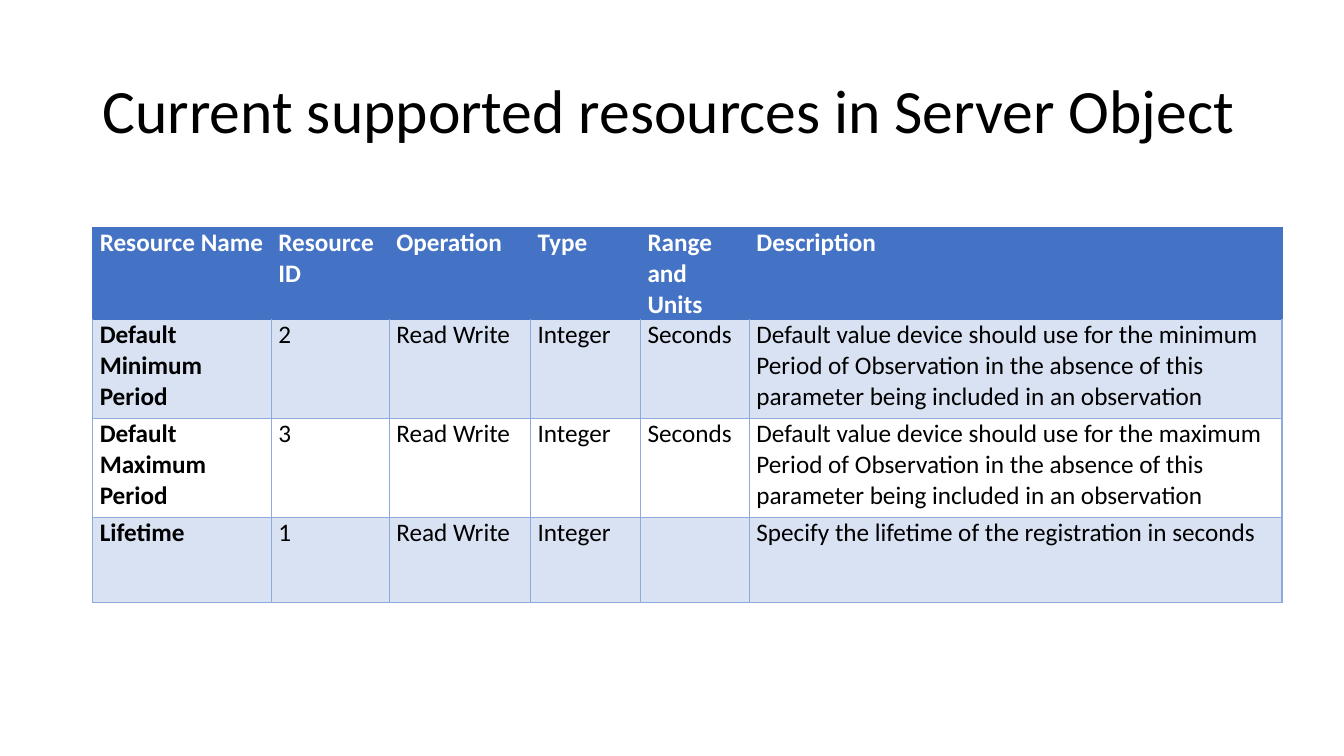
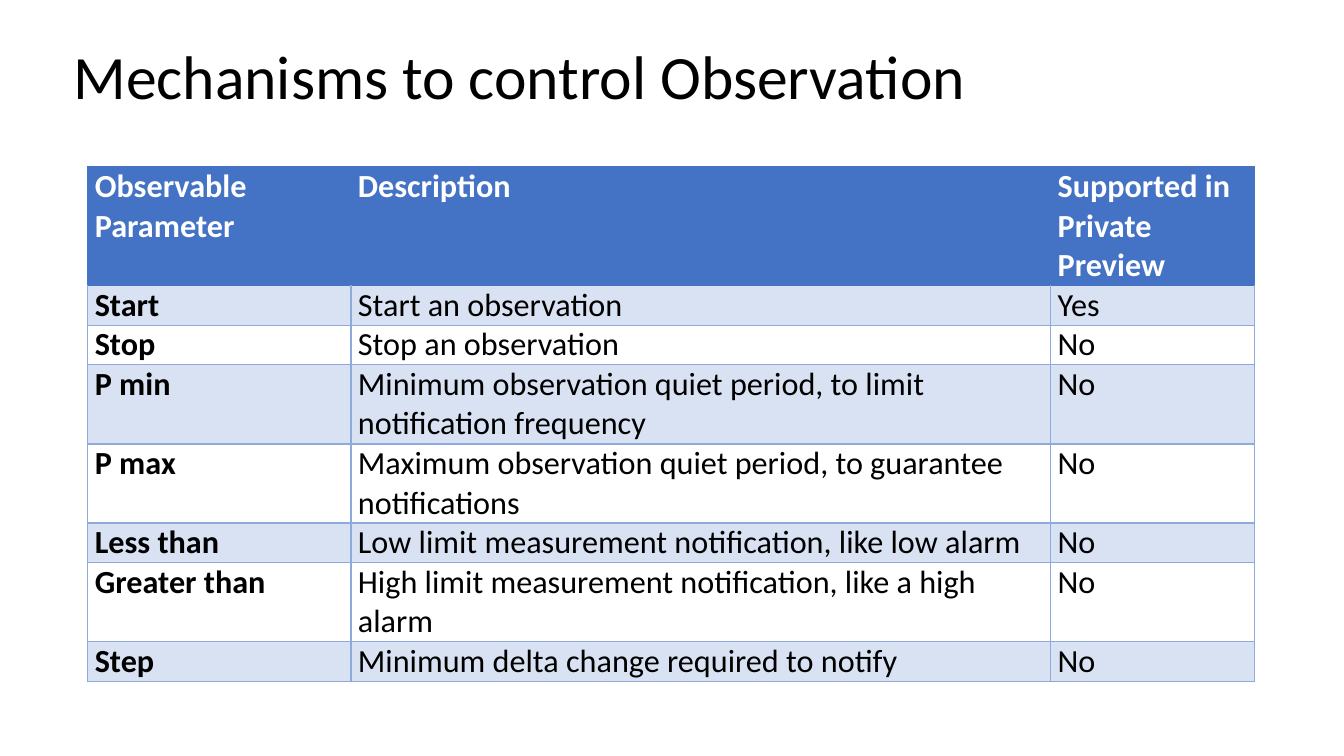
import pptx
import pptx.util
import pptx.dml.color
import pptx.enum.text
import pptx.oxml
import pptx.oxml.ns

# Shared style
WIDTH, HEIGHT = pptx.util.Inches(13.33), pptx.util.Inches(7.5)
FONT = "Calibri"
TITLE_SIZE = 44
COLORS = {
    "text": "000000",
    "header": "4472C4",
    "header_text": "FFFFFF",
    "band": "D9E2F3",
    "plain": "FFFFFF",
    "grid": "8EAADB",
}

# Boxes are left, top, width, height in percent of the slide;
# columns and rows are weights that divide the table box.
SLIDES = [
    {
        "title": "Current supported resources in Server Object",
        "title_box": (6.9, 5.33, 86.25, 19.33),
        "table_box": (6.9, 30.13, 88.5, 49.6),
        "size": 18,
        "columns": (1.77, 1.17, 1.4, 1.09, 1.08, 5.28),
        "rows": (0.91, 0.98, 0.98, 0.84),
        "cells": [
            ("Resource Name", "Resource ID", "Operation", "Type",
             "Range and Units", "Description"),
            ("Default Minimum Period", "2", "Read Write", "Integer", "Seconds",
             "Default value device should use for the minimum Period of "
             "Observation in the absence of this parameter being included "
             "in an observation"),
            ("Default Maximum Period", "3", "Read Write", "Integer", "Seconds",
             "Default value device should use for the maximum Period of "
             "Observation in the absence of this parameter being included "
             "in an observation"),
            ("Lifetime", "1", "Read Write", "Integer", "",
             "Specify the lifetime of the registration in seconds"),
        ],
    },
    {
        "title": "Mechanisms to control Observation",
        "title_box": (4.73, 3.47, 86.25, 14),
        "table_box": (6.53, 22.07, 86.8, 68.1),
        "size": 23,
        "columns": (2.61, 6.94, 2.02),
        "rows": (3, 1, 1, 2, 2, 1, 2, 1),
        "cells": [
            ("Observable Parameter", "Description",
             "Supported in Private Preview"),
            ("Start", "Start an observation", "Yes"),
            ("Stop", "Stop an observation", "No"),
            ("P min", "Minimum observation quiet period, to limit "
             "notification frequency", "No"),
            ("P max", "Maximum observation quiet period, to guarantee "
             "notifications", "No"),
            ("Less than", "Low limit measurement notification, like low alarm",
             "No"),
            ("Greater than", "High limit measurement notification, like a "
             "high alarm", "No"),
            ("Step", "Minimum delta change required to notify", "No"),
        ],
    },
]


def rgb(name):
    return pptx.dml.color.RGBColor.from_string(COLORS[name])


def place(box):
    """Turn a percent box into slide lengths."""
    return [round(share * side / 100)
            for share, side in zip(box, (WIDTH, HEIGHT, WIDTH, HEIGHT))]


def write(p, text, size, color, bold=False):
    p.text = text
    p.font.name = FONT
    p.font.size = pptx.util.Pt(size)
    p.font.bold = bold
    p.font.color.rgb = rgb(color)


def add_title(slide, box, text):
    tf = slide.shapes.add_textbox(*place(box)).text_frame
    tf.word_wrap = True
    tf.vertical_anchor = pptx.enum.text.MSO_ANCHOR.MIDDLE
    p = tf.paragraphs[0]
    p.line_spacing = 0.9
    write(p, text, TITLE_SIZE, "text")


def set_borders(cell, sides):
    """Draw 1 pt borders; sides maps L, R, T, B to colour names."""
    props = cell._tc.get_or_add_tcPr()
    for side, color in sides.items():
        props.append(pptx.oxml.parse_xml(
            f'<a:ln{side} {pptx.oxml.ns.nsdecls("a")} w="12700"><a:solidFill>'
            f'<a:srgbClr val="{COLORS[color]}"/></a:solidFill></a:ln{side}>'))


def fill_cell(cell, text, size, row, column):
    header = row == 0
    edge = "header" if header else "grid"
    top = "header" if row <= 1 else "grid"
    set_borders(cell, {"L": edge, "R": edge, "T": top, "B": edge})
    cell.fill.solid()
    cell.fill.fore_color.rgb = rgb(
        "header" if header else "band" if row % 2 else "plain")
    cell.margin_left = cell.margin_right = pptx.util.Inches(0.07)
    cell.margin_top = cell.margin_bottom = 0
    write(cell.text_frame.paragraphs[0], text, size,
          "header_text" if header else "text", bold=header or column == 0)


def add_grid(slide, box, columns, rows, cells, size):
    left, top, width, height = place(box)
    table = slide.shapes.add_table(
        len(rows), len(columns), left, top, width, height).table
    table.horz_banding = False
    for column, weight in zip(table.columns, columns):
        column.width = round(width * weight / sum(columns))
    for row, weight in zip(table.rows, rows):
        row.height = round(height * weight / sum(rows))
    for i, texts in enumerate(cells):
        for j, text in enumerate(texts):
            fill_cell(table.cell(i, j), text, size, i, j)


def add_table_slide(prs, content):
    slide = prs.slides.add_slide(prs.slide_layouts[6])
    add_title(slide, content["title_box"], content["title"])
    add_grid(slide, content["table_box"], content["columns"],
             content["rows"], content["cells"], content["size"])


def main():
    prs = pptx.Presentation()
    prs.slide_width, prs.slide_height = WIDTH, HEIGHT
    for content in SLIDES:
        add_table_slide(prs, content)
    prs.save("out.pptx")


if __name__ == "__main__":
    main()
